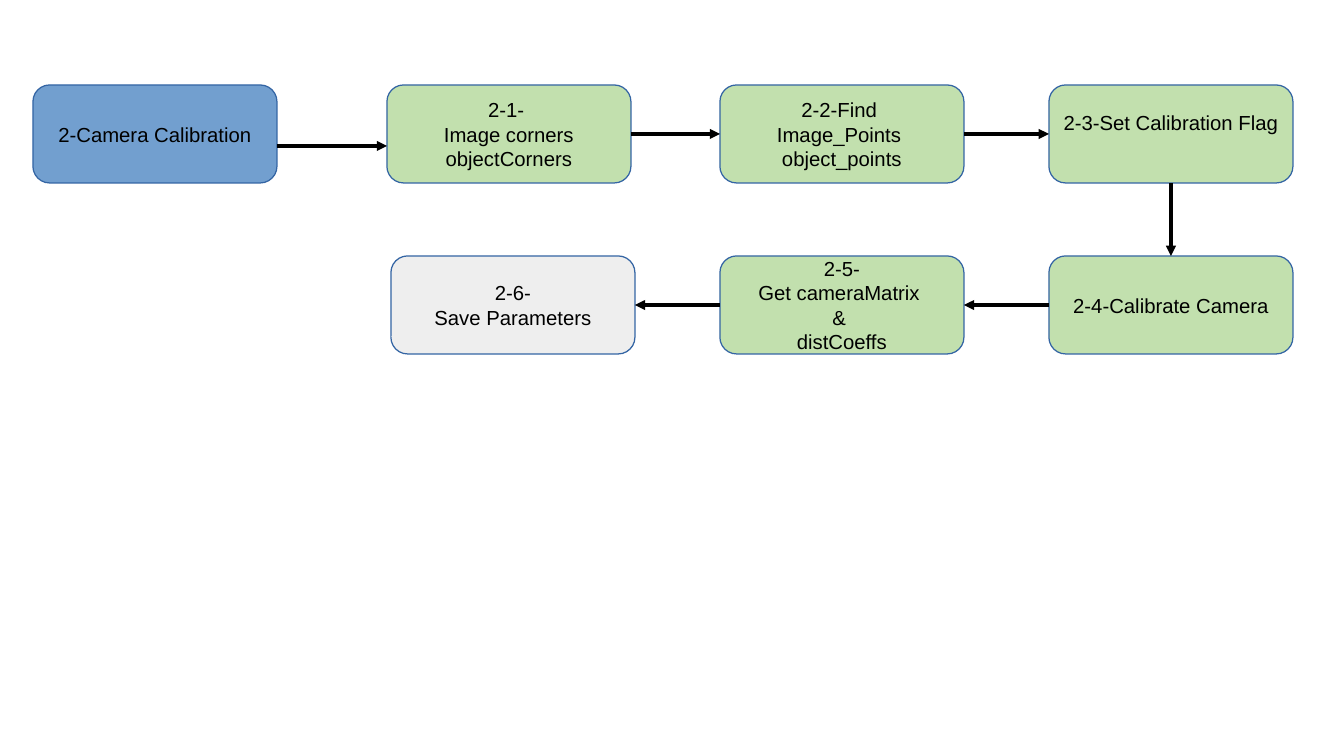
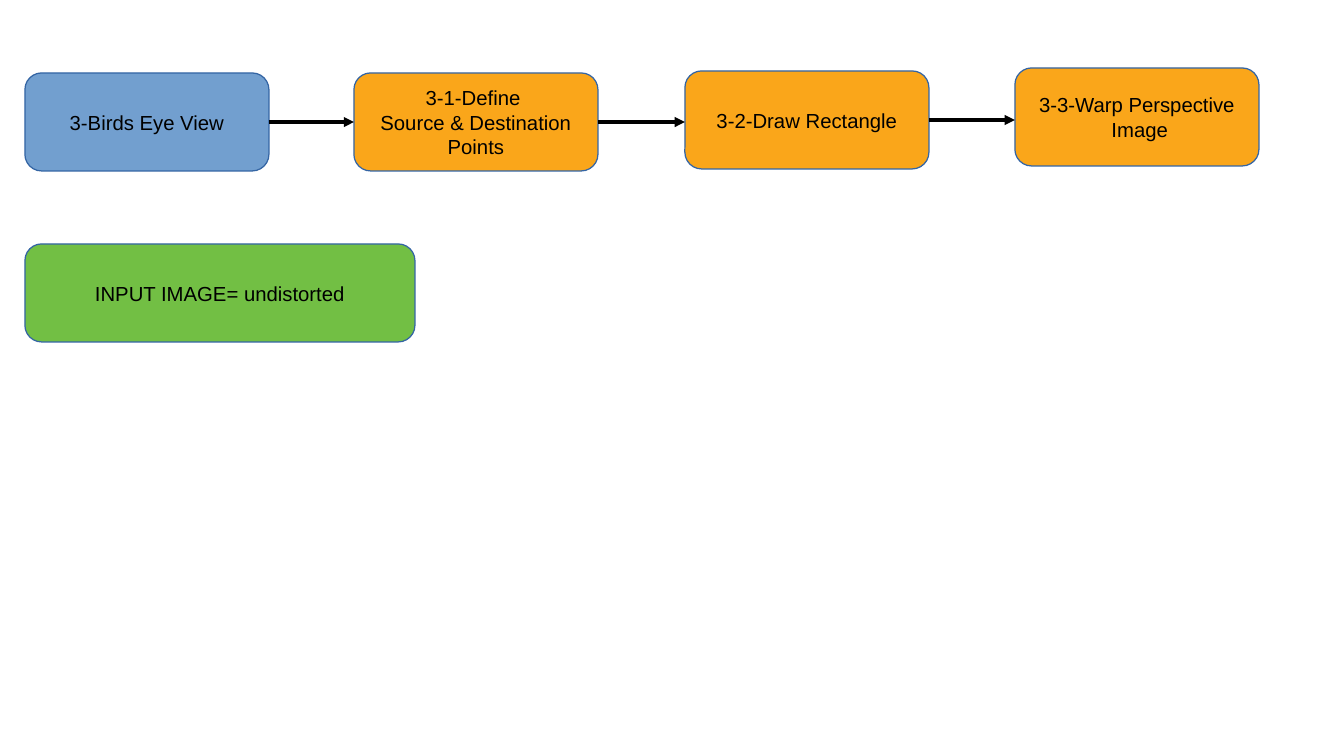
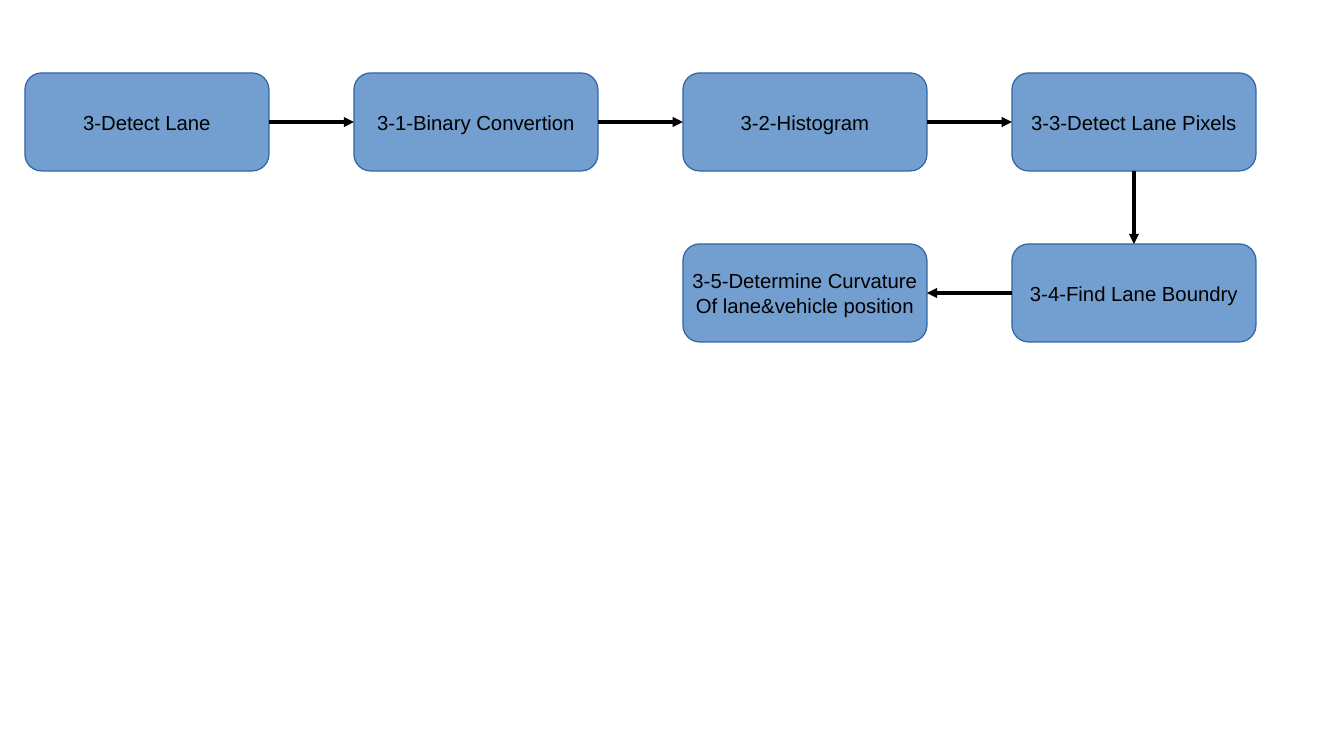
from lxml import etree
from pptx import Presentation
from pptx.dml.color import RGBColor
from pptx.enum.shapes import MSO_CONNECTOR, MSO_SHAPE
from pptx.enum.text import MSO_ANCHOR, PP_ALIGN
from pptx.oxml.ns import qn
from pptx.util import Pt

PX = 914400 / 122
STRAIGHT = MSO_CONNECTOR.STRAIGHT
ROUNDED = MSO_SHAPE.ROUNDED_RECTANGLE
CENTER = PP_ALIGN.CENTER
MIDDLE = MSO_ANCHOR.MIDDLE
TOP, LEFT, BOTTOM, RIGHT = range(4)

BLUE = RGBColor(0x72, 0x9F, 0xCF)
PALE_GREEN = RGBColor(0xC2, 0xE0, 0xAE)
GREEN = RGBColor(0x72, 0xBF, 0x44)
ORANGE = RGBColor(0xFA, 0xA6, 0x1A)
GREY = RGBColor(0xEE, 0xEE, 0xEE)
OUTLINE = RGBColor(0x34, 0x65, 0xA4)
BLACK = RGBColor(0, 0, 0)

FONT, FONT_SIZE = "Arial", Pt(12)
SLIDE_W, SLIDE_H = 1344, 756
STEP_W, STEP_H = 244, 98
PITCH_X, PITCH_Y = 329, 171
INSET_X, INSET_Y = 12, 6


def px(length):
    return round(length * PX)


def add_step(slide, left, top, text, fill, width=STEP_W, raise_text=0):
    """Add a rounded box; raise_text lifts its centred text."""
    step = slide.shapes.add_shape(ROUNDED, px(left), px(top), px(width), px(STEP_H))
    step.shadow.inherit = False
    step.adjustments[0] = 0.17
    step.fill.solid()
    step.fill.fore_color.rgb = fill
    step.line.color.rgb = OUTLINE
    step.line.width = 0

    frame = step.text_frame
    frame.word_wrap = False
    frame.vertical_anchor = MIDDLE
    frame.margin_left = frame.margin_right = px(INSET_X)
    frame.margin_top = px(INSET_Y)
    frame.margin_bottom = px(INSET_Y + 2 * raise_text)
    frame.text = text
    for paragraph in frame.paragraphs:
        paragraph.alignment = CENTER
        for run in paragraph.runs:
            run.font.name = FONT
            run.font.size = FONT_SIZE
            run.font.color.rgb = BLACK
    return step


def side_middle(step, side):
    x = step.left + {LEFT: 0, RIGHT: step.width}.get(side, step.width // 2)
    y = step.top + {TOP: 0, BOTTOM: step.height}.get(side, step.height // 2)
    return x, y


def add_arrow(slide, source, target, drop=0):
    """Run an arrow straight to the target, joined wherever it meets a side's middle."""
    if target.left >= source.left + source.width:
        start_side, end_side = RIGHT, LEFT
    elif target.left + target.width <= source.left:
        start_side, end_side = LEFT, RIGHT
    else:
        start_side, end_side = BOTTOM, TOP
    start_x, start_y = side_middle(source, start_side)
    middle = side_middle(target, end_side)
    start_y += px(drop)
    end = (start_x, middle[1]) if end_side == TOP else (middle[0], start_y)

    arrow = slide.shapes.add_connector(STRAIGHT, start_x, start_y, *end)
    if not drop:
        arrow.begin_connect(source, start_side)
    if end == middle:
        arrow.end_connect(target, end_side)
    arrow.line.color.rgb = BLACK
    arrow.line.width = 0
    etree.SubElement(arrow.line._get_or_add_ln(), qn("a:tailEnd"), type="triangle")
    etree.SubElement(arrow._element.spPr, qn("a:effectLst"))


def add_flow(slide, left, top, steps, first_drop=0):
    """Place steps (column, row, text, fill, options) on the grid and chain them."""
    boxes = []
    for column, row, text, fill, options in steps:
        nudge_x, nudge_y = options.get("nudge", (0, 0))
        boxes.append(add_step(
            slide,
            left + column * PITCH_X + nudge_x,
            top + row * PITCH_Y + nudge_y,
            text, fill, raise_text=options.get("raise_text", 0)))
    for index, (source, target) in enumerate(zip(boxes, boxes[1:])):
        add_arrow(slide, source, target, 0 if index else first_drop)


def camera_calibration(slide, left, top):
    add_flow(slide, left, top, [
        (0, 0, "2-Camera Calibration", BLUE, {"nudge": (-29, 0)}),
        (1, 0, "2-1- \nImage corners\nobjectCorners", PALE_GREEN, {"nudge": (-4, 0)}),
        (2, 0, "2-2-Find \nImage_Points \nobject_points", PALE_GREEN, {}),
        (3, 0, "2-3-Set Calibration Flag", PALE_GREEN, {"raise_text": 12}),
        (3, 1, "2-4-Calibrate Camera", PALE_GREEN, {}),
        (2, 1, "2-5-\nGet cameraMatrix \n& \ndistCoeffs", PALE_GREEN, {}),
        (1, 1, "2-6-\nSave Parameters", GREY, {}),
    ], first_drop=12)


def birds_eye_view(slide, left, top):
    add_flow(slide, left, top, [
        (0, 0, "3-Birds Eye View", BLUE, {}),
        (1, 0, "3-1-Define \nSource & Destination\nPoints", ORANGE, {}),
        (2, 0, "3-2-Draw Rectangle", ORANGE, {"nudge": (2, -2)}),
        (3, 0, "3-3-Warp Perspective\n Image", ORANGE, {"nudge": (3, -5)}),
    ])
    add_step(slide, left, top + PITCH_Y, "INPUT IMAGE= undistorted", GREEN, width=390)


def detect_lane(slide, left, top):
    add_flow(slide, left, top, [
        (0, 0, "3-Detect Lane", BLUE, {}),
        (1, 0, "3-1-Binary Convertion", BLUE, {}),
        (2, 0, "3-2-Histogram", BLUE, {}),
        (3, 0, "3-3-Detect Lane Pixels", BLUE, {}),
        (3, 1, "3-4-Find Lane Boundry", BLUE, {}),
        (2, 1, "3-5-Determine Curvature\nOf lane&vehicle position", BLUE, {}),
    ])


def main():
    deck = Presentation()
    deck.slide_width, deck.slide_height = px(SLIDE_W), px(SLIDE_H)
    blank = deck.slide_layouts[6]
    for build, left, top in (
        (camera_calibration, 62, 85),
        (birds_eye_view, 25, 73),
        (detect_lane, 25, 73),
    ):
        build(deck.slides.add_slide(blank), left, top)
    deck.save("out.pptx")


if __name__ == "__main__":
    main()
